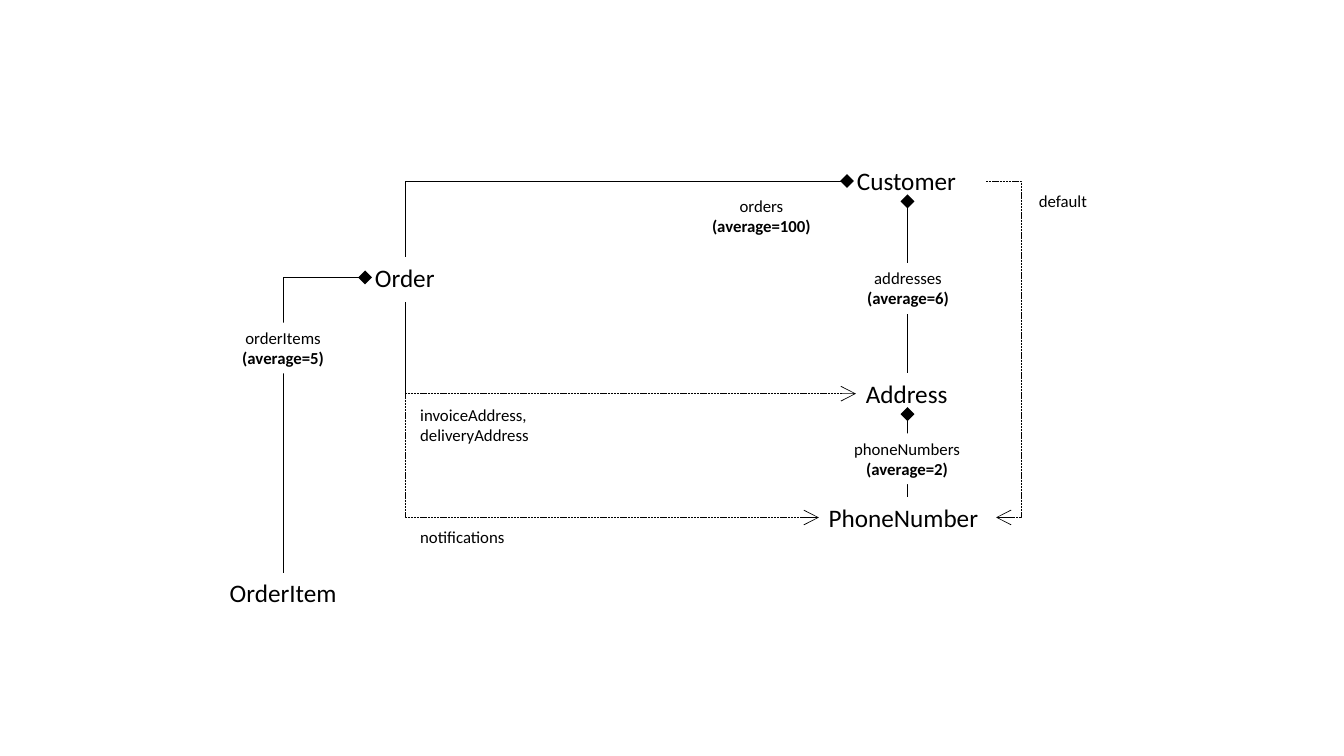
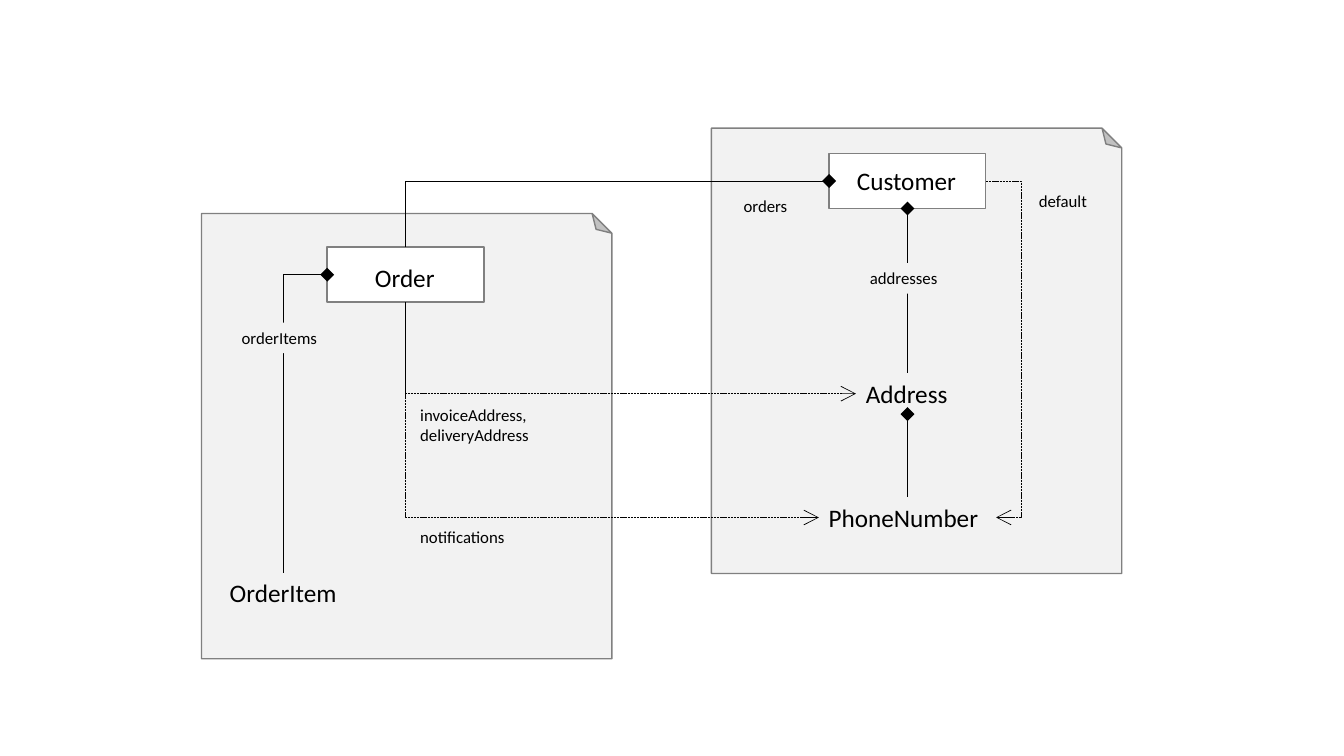
from dataclasses import dataclass
from enum import IntEnum

from lxml import etree
from pptx import Presentation
from pptx.dml.color import RGBColor
from pptx.enum.dml import MSO_LINE
from pptx.enum.shapes import MSO_CONNECTOR, MSO_SHAPE
from pptx.enum.text import MSO_AUTO_SIZE, PP_ALIGN
from pptx.oxml.ns import qn
from pptx.util import Cm, Pt

DASHED = MSO_LINE.SQUARE_DOT
STRAIGHT, ELBOW = MSO_CONNECTOR.STRAIGHT, MSO_CONNECTOR.ELBOW
SHEET, BOX = MSO_SHAPE.FOLDED_CORNER, MSO_SHAPE.RECTANGLE
LEFT_ALIGN, CENTERED = PP_ALIGN.LEFT, PP_ALIGN.CENTER
FIT_TEXT = MSO_AUTO_SIZE.SHAPE_TO_FIT_TEXT

FONT = "Calibri"
BLACK, WHITE, GRAY, PAPER = "000000", "FFFFFF", "808080", "F2F2F2"
NAME_SIZE, LABEL_SIZE = 18, 12
NAME_HEIGHT, LINE_HEIGHT, LABEL_PADDING = 1.03, 0.51, 0.26
SHEET_WIDTH, SHEET_HEIGHT = 10.34, 11.22
SHEET_FOLD, DETOUR_BEND = 4800, -240800
ORDER_X, CUSTOMER_X = 10.22, 22.87
DIRECT, CORNER, DETOUR = "line", "bentConnector2", "bentConnector3"


class Site(IntEnum):
    """Connection sites of a rectangle."""
    TOP = 0
    LEFT = 1
    BOTTOM = 2
    RIGHT = 3


@dataclass(frozen=True)
class Frame:
    """A rectangle given by its centre and size, in centimetres."""
    x: float
    y: float
    width: float
    height: float = NAME_HEIGHT

    @property
    def corner(self) -> tuple[float, float]:
        """Return the left and top edges."""
        return self.x - self.width / 2, self.y - self.height / 2

    def point(self, site: Site) -> tuple[float, float]:
        """Return the position of a connection site."""
        left, top = self.corner
        return {
            Site.TOP: (self.x, top),
            Site.LEFT: (left, self.y),
            Site.BOTTOM: (self.x, top + self.height),
            Site.RIGHT: (left + self.width, self.y),
        }[site]


@dataclass(frozen=True)
class Link:
    """A relation between two frames; its head is drawn at the source."""
    source: str
    source_site: Site
    target: str
    target_site: Site
    route: str = CORNER
    reference: bool = False


@dataclass(frozen=True)
class Label:
    """A relation name, with an optional bold note below it."""
    lines: tuple[str, ...]
    left: float
    top: float
    width: float
    note: str = ""
    align: PP_ALIGN = LEFT_ALIGN
    fill: str | None = WHITE


NAMES = {
    "Customer": Frame(CUSTOMER_X, 4.56, 3.05),
    "Order": Frame(ORDER_X, 6.99, 2.04),
    "Address": Frame(CUSTOMER_X, 9.92, 2.6),
    "PhoneNumber": Frame(CUSTOMER_X, 13.04, 4.47),
    "OrderItem": Frame(7.15, 14.95, 3.22),
}
BOXES = {
    "Order box": Frame(ORDER_X, 6.92, 3.95, 1.39),
    "Customer box": Frame(CUSTOMER_X, 4.56, 3.95, 1.39),
}
FRAMES = NAMES | BOXES
SHEET_CORNERS = [(5.08, 5.38), (17.93, 3.23)]

REFERENCES = [
    Link("PhoneNumber", Site.RIGHT, "Customer box", Site.RIGHT, DETOUR, True),
    Link("Address", Site.LEFT, "Order box", Site.BOTTOM, CORNER, True),
    Link("PhoneNumber", Site.LEFT, "Order box", Site.BOTTOM, CORNER, True),
]


def compositions(customer: str, order: str) -> list[Link]:
    """List the part-of links for the given customer and order frames."""
    return [
        Link(customer, Site.LEFT, order, Site.TOP),
        Link(customer, Site.BOTTOM, "Address", Site.TOP, DIRECT),
        Link("Address", Site.BOTTOM, "PhoneNumber", Site.TOP, DIRECT),
        Link(order, Site.LEFT, "OrderItem", Site.TOP),
    ]


def reference_labels(default_fill: str, fill: str | None) -> list[Label]:
    """List the labels of the dashed links."""
    return [
        Label(("default",), 25.93, 4.67, 1.73, fill=default_fill),
        Label(("invoiceAddress,", "deliveryAddress"), 10.34, 10.08, 3.33,
              fill=fill),
        Label(("notifications",), 10.34, 13.16, 2.67, fill=fill),
    ]


AVERAGE_LABELS = [
    Label(("orders",), 17.68, 4.8, 3.02, "(average=100)", CENTERED),
    Label(("orderItems",), 5.84, 8.13, 2.59, "(average=5)", CENTERED),
    Label(("addresses",), 21.59, 6.63, 2.59, "(average=6)", CENTERED),
    Label(("phoneNumbers",), 21.26, 10.92, 3.2, "(average=2)", CENTERED),
]
PAPER_LABELS = [
    Label(("orders",), 18.49, 4.8, 1.63, fill=PAPER),
    Label(("orderItems",), 5.84, 8.13, 2.44, fill=PAPER),
    Label(("addresses",), 21.67, 6.63, 2.24, fill=PAPER),
]


def color(value: str) -> RGBColor:
    """Turn a hex string into a colour."""
    return RGBColor.from_string(value)


def add_text(slide, lines, left: float, top: float, width: float,
             height: float, size: int, align: PP_ALIGN = LEFT_ALIGN):
    """Add an unwrapped text box with one paragraph per line."""
    shape = slide.shapes.add_textbox(Cm(left), Cm(top), Cm(width), Cm(height))
    frame = shape.text_frame
    frame.word_wrap = False
    frame.auto_size = FIT_TEXT
    frame.text = "\n".join(lines)
    for paragraph in frame.paragraphs:
        paragraph.alignment = align
        paragraph.font.name = FONT
        paragraph.font.size = Pt(size)
        paragraph.font.color.rgb = color(BLACK)
    return shape


def add_name(slide, name: str):
    """Add the name of an entity."""
    frame = NAMES[name]
    return add_text(slide, [name], *frame.corner, frame.width, frame.height,
                    NAME_SIZE)


def add_label(slide, label: Label) -> None:
    """Add the label of a link."""
    lines = [*label.lines, label.note] if label.note else label.lines
    height = LABEL_PADDING + LINE_HEIGHT * len(lines)
    shape = add_text(slide, lines, label.left, label.top, label.width, height,
                     LABEL_SIZE, label.align)
    if label.fill:
        shape.fill.solid()
        shape.fill.fore_color.rgb = color(label.fill)
    if label.note:
        shape.text_frame.paragraphs[-1].font.bold = True


def add_panel(slide, kind: MSO_SHAPE, left: float, top: float, width: float,
              height: float, fill: str):
    """Add a gray-edged panel without text."""
    shape = slide.shapes.add_shape(kind, Cm(left), Cm(top), Cm(width),
                                   Cm(height))
    shape.shadow.inherit = False
    shape.fill.solid()
    shape.fill.fore_color.rgb = color(fill)
    shape.line.color.rgb = color(GRAY)
    shape.line.width = Pt(1)
    return shape


def set_adjustment(shape, name: str, value: int) -> None:
    """Set an adjustment of a preset outline, in 1/100000 of its size."""
    geometry = shape._element.spPr.find(qn("a:prstGeom"))
    values = geometry.find(qn("a:avLst"))
    if values is None:
        values = etree.SubElement(geometry, qn("a:avLst"))
    etree.SubElement(values, qn("a:gd"), name=name, fmla=f"val {value}")


def add_sheet(slide, left: float, top: float) -> None:
    """Add a paper sheet whose top right corner is folded."""
    shape = add_panel(slide, SHEET, left, top, SHEET_WIDTH, SHEET_HEIGHT, PAPER)
    set_adjustment(shape, "adj", SHEET_FOLD)
    shape.rotation = 180
    shape._element.spPr.find(qn("a:xfrm")).set("flipH", "1")


def add_box(slide, name: str):
    """Add the white box around an entity name."""
    frame = BOXES[name]
    return add_panel(slide, BOX, *frame.corner, frame.width, frame.height,
                     WHITE)


def set_route(connector, route: str) -> None:
    """Bend a connector once, or lead it round to the right."""
    if route == DETOUR:
        set_adjustment(connector, "adj1", DETOUR_BEND)
        return
    properties = connector._element.spPr
    properties.find(qn("a:prstGeom")).set("prst", route)
    transform = properties.find(qn("a:xfrm"))
    transform.attrib.pop("flipH", None)
    flipped = transform.attrib.pop("flipV", None)
    transform.set("rot", "10800000")
    if not flipped:
        transform.set("flipV", "1")


def add_link(slide, link: Link, shapes: dict) -> None:
    """Add a link, attached to those of its ends that are on the slide."""
    begin = FRAMES[link.source].point(link.source_site)
    end = FRAMES[link.target].point(link.target_site)
    kind = STRAIGHT if link.route == DIRECT else ELBOW
    connector = slide.shapes.add_connector(
        kind, *(Cm(value) for value in begin + end))
    if link.source in shapes:
        connector.begin_connect(shapes[link.source], link.source_site)
    if link.target in shapes:
        connector.end_connect(shapes[link.target], link.target_site)
    if kind == ELBOW:
        set_route(connector, link.route)
    connector.line.color.rgb = color(BLACK)
    connector.line.width = Pt(0.5)
    if link.reference:
        connector.line.dash_style = DASHED
    properties = connector._element.spPr
    etree.SubElement(properties.find(qn("a:ln")), qn("a:headEnd"),
                     type="arrow" if link.reference else "diamond",
                     w="lg", len="lg")
    etree.SubElement(properties, qn("a:effectLst"))


def add_diagram(presentation, links: list[Link], labels: list[Label],
                on_sheets: bool = False) -> None:
    """Add a slide with the entities, their links and labels."""
    slide = presentation.slides.add_slide(presentation.slide_layouts[6])
    shapes = {}
    if on_sheets:
        for corner in SHEET_CORNERS:
            add_sheet(slide, *corner)
        shapes |= {name: add_box(slide, name) for name in BOXES}
    shapes |= {name: add_name(slide, name) for name in NAMES}
    for link in links:
        add_link(slide, link, shapes)
    for label in labels:
        add_label(slide, label)


def main() -> None:
    """Build and save the presentation."""
    presentation = Presentation()
    presentation.slide_width, presentation.slide_height = Cm(33.87), Cm(19.05)
    add_diagram(presentation, compositions("Customer", "Order") + REFERENCES,
                reference_labels(WHITE, WHITE) + AVERAGE_LABELS)
    add_diagram(presentation,
                compositions("Customer box", "Order box") + REFERENCES,
                reference_labels(PAPER, None) + PAPER_LABELS, on_sheets=True)
    presentation.save("out.pptx")


main()
